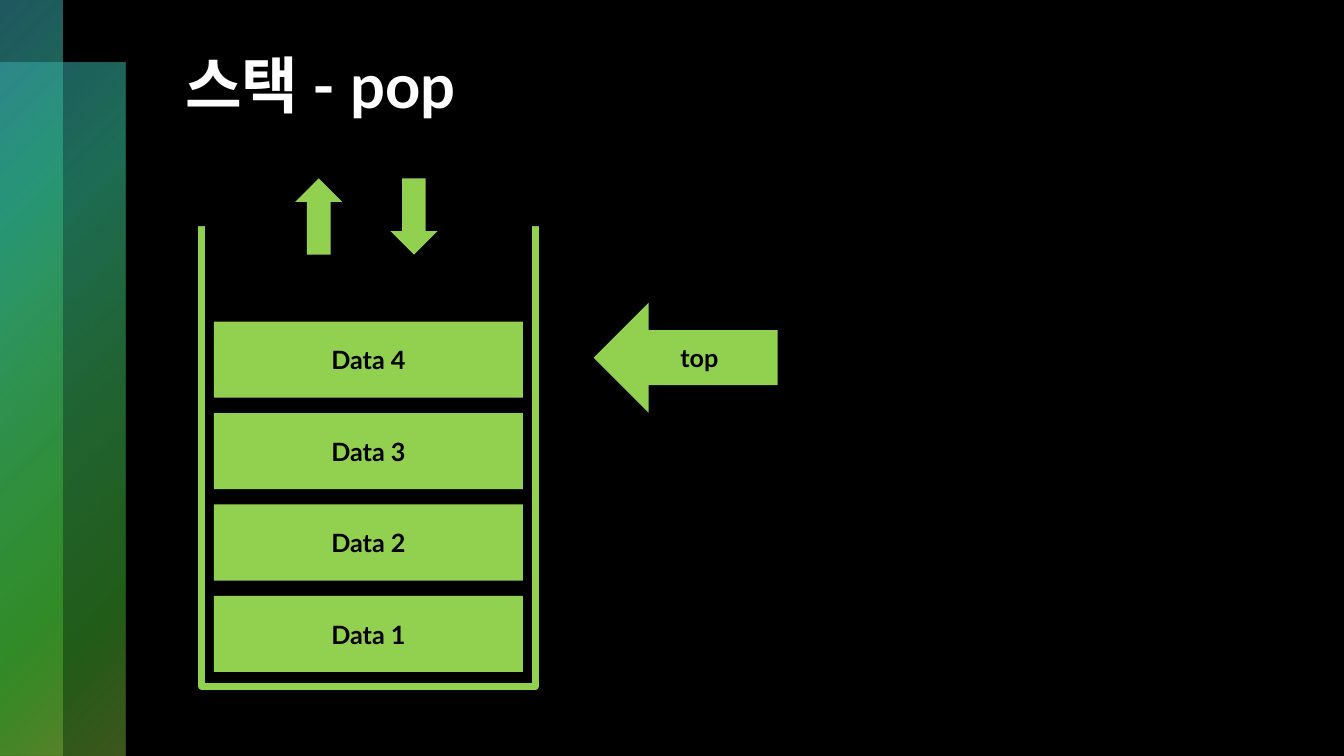
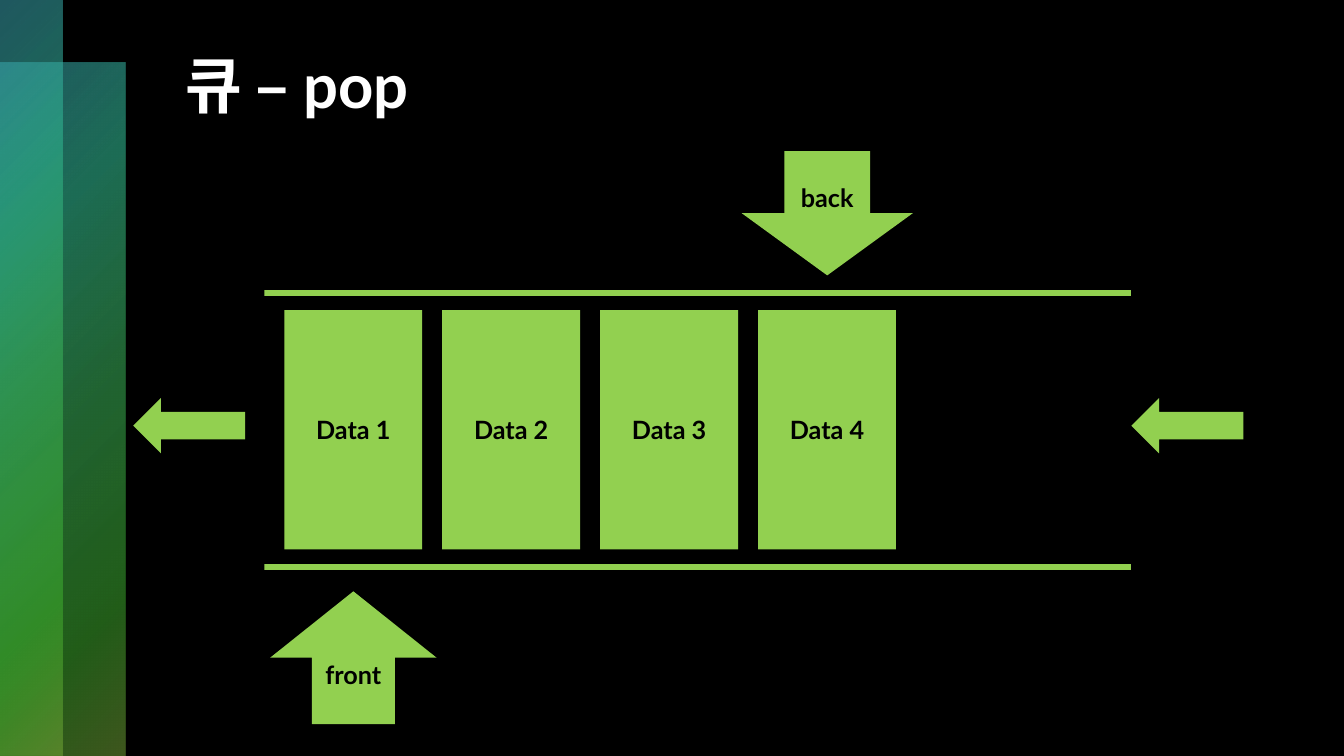
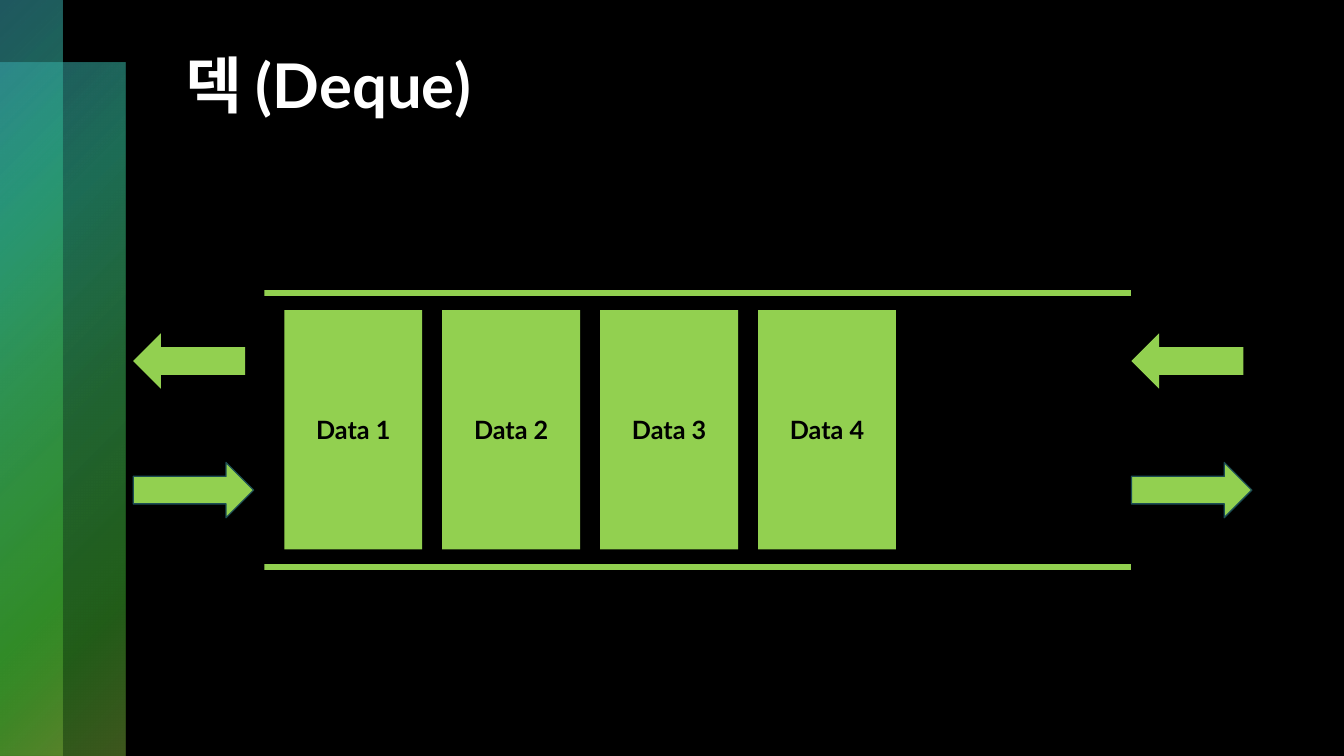
from dataclasses import dataclass

from lxml.etree import SubElement
from pptx import Presentation
from pptx.dml.color import RGBColor
from pptx.enum.shapes import MSO_SHAPE
from pptx.enum.text import MSO_ANCHOR, PP_ALIGN
from pptx.oxml.ns import qn
from pptx.presentation import Presentation as Deck
from pptx.shapes.autoshape import Shape
from pptx.slide import Slide
from pptx.text.text import TextFrame
from pptx.util import Pt

BLACK = RGBColor(0x00, 0x00, 0x00)
WHITE = RGBColor(0xFF, 0xFF, 0xFF)
GREEN = RGBColor(0x92, 0xD0, 0x50)
DARK_TEAL = RGBColor(0x1C, 0x4D, 0x54)
FONT = "Lato"

SLIDE_WIDTH, SLIDE_HEIGHT = 960, 540
BAND_WIDTH = 45
ITEMS = ("Data 1", "Data 2", "Data 3", "Data 4")
EXIT_LEFT, ENTRY_LEFT = 95.2, 808.2


@dataclass(frozen=True)
class Area:
    left: float
    top: float
    width: float
    height: float


@dataclass(frozen=True)
class GradientStop:
    position: int
    color: RGBColor
    opacity: int


@dataclass(frozen=True)
class Arrow:
    kind: MSO_SHAPE
    area: Area
    label: str = ""
    outline: RGBColor | None = None


def band_stops(middle: int) -> list[GradientStop]:
    return [
        GradientStop(0, RGBColor(0x3F, 0xAF, 0xBF), 50),
        GradientStop(25, RGBColor(0x30, 0xB5, 0x8E), 60),
        GradientStop(middle, RGBColor(0x3C, 0xB6, 0x5F), 55),
        GradientStop(81, RGBColor(0x43, 0xB9, 0x31), 50),
        GradientStop(99, RGBColor(0x7A, 0xAF, 0x3A), 50),
    ]


BANDS = (
    (Area(0, BAND_WIDTH, 2 * BAND_WIDTH, SLIDE_HEIGHT - BAND_WIDTH), band_stops(50)),
    (Area(0, 0, BAND_WIDTH, SLIDE_HEIGHT), band_stops(49)),
)
TITLE_AREA = Area(125.2, 36, 747, 122)

STACK_FRAME = Area(144, 155, 238.5, 335.4)
STACK_OPENING = Area(125, 147.5, 265, 14)
STACK_BOTTOM_ITEM = Area(152.8, 425.6, 220.8, 54.4)
STACK_STEP = 65.3

QUEUE_FRAME = Area(175, 209.4, 646.6, 195.4)
QUEUE_OPENINGS = tuple(Area(left, 196.5, 28, 225.4) for left in (160.8, 808))
QUEUE_FIRST_ITEM = Area(203.1, 221.5, 98.5, 171)
QUEUE_STEP = 112.8

STACK_ARROWS = (
    Arrow(MSO_SHAPE.LEFT_ARROW, Area(424, 216.2, 131.5, 78.6), "top"),
    Arrow(MSO_SHAPE.UP_ARROW, Area(210.8, 127.4, 33.8, 54.5)),
    Arrow(MSO_SHAPE.DOWN_ARROW, Area(278.8, 127.4, 33.8, 54.5)),
)
QUEUE_ARROWS = (
    Arrow(MSO_SHAPE.UP_ARROW, Area(193, 422.4, 118.8, 94.8), "front"),
    Arrow(MSO_SHAPE.DOWN_ARROW, Area(529.8, 107.9, 122.2, 88.8), "back"),
) + tuple(
    Arrow(MSO_SHAPE.LEFT_ARROW, Area(left, 284.4, 80, 39.4))
    for left in (EXIT_LEFT, ENTRY_LEFT)
)
DEQUE_ARROWS = tuple(
    Arrow(kind, Area(left, top, width, 39.4), outline=outline)
    for kind, top, width, outline in (
        (MSO_SHAPE.RIGHT_ARROW, 330.4, 86, DARK_TEAL),
        (MSO_SHAPE.LEFT_ARROW, 238.2, 80, None),
    )
    for left in (EXIT_LEFT, ENTRY_LEFT)
)


def points(area: Area) -> tuple[Pt, Pt, Pt, Pt]:
    return Pt(area.left), Pt(area.top), Pt(area.width), Pt(area.height)


def write(frame: TextFrame, text: str, size: float, color: RGBColor) -> None:
    span = frame.paragraphs[0].add_run()
    span.text = text
    span.font.name = FONT
    span.font.size = Pt(size)
    span.font.bold = True
    span.font.color.rgb = color


def add_figure(
    page: Slide,
    kind: MSO_SHAPE,
    area: Area,
    fill: RGBColor | None = None,
    outline: RGBColor | None = None,
    weight: float = 1,
    label: str = "",
) -> Shape:
    """Add a flat preset shape, optionally filled, outlined and labelled."""
    box = page.shapes.add_shape(kind, *points(area))
    box.shadow.inherit = False
    if fill is None:
        box.fill.background()
    else:
        box.fill.solid()
        box.fill.fore_color.rgb = fill
    if outline is None:
        box.line.fill.background()
    else:
        box.line.color.rgb = outline
        box.line.width = Pt(weight)
    if label:
        frame = box.text_frame
        frame.word_wrap = True
        frame.vertical_anchor = MSO_ANCHOR.MIDDLE
        frame.paragraphs[0].alignment = PP_ALIGN.CENTER
        write(frame, label, 18, BLACK)
    return box


def fill_radially(box: Shape, stops: list[GradientStop]) -> None:
    """Spread translucent stops outwards from the top left corner."""
    box.fill.gradient()
    gradient = box.fill._fill._gradFill
    for child in list(gradient):
        gradient.remove(child)
    stop_list = SubElement(gradient, qn("a:gsLst"))
    for stop in stops:
        entry = SubElement(stop_list, qn("a:gs"), pos=str(stop.position * 1000))
        color = SubElement(entry, qn("a:srgbClr"), val=str(stop.color))
        SubElement(color, qn("a:alpha"), val=str(stop.opacity * 1000))
    spread = SubElement(gradient, qn("a:path"), path="circle")
    SubElement(spread, qn("a:fillToRect"), r="100000", b="100000")


def add_page(deck: Deck, title: str) -> Slide:
    """Add a page with the side bands and its title."""
    page = deck.slides.add_slide(deck.slide_layouts[6])
    for area, stops in BANDS:
        fill_radially(add_figure(page, MSO_SHAPE.RECTANGLE, area), stops)
    frame = page.shapes.add_textbox(*points(TITLE_AREA)).text_frame
    frame.word_wrap = True
    frame.paragraphs[0].line_spacing = 0.9
    write(frame, title, 44, WHITE)
    return page


def add_container(page: Slide, frame: Area, openings: tuple[Area, ...]) -> None:
    """Draw an outlined frame and cover the sides where data passes."""
    add_figure(page, MSO_SHAPE.RECTANGLE, frame, outline=GREEN, weight=4.5)
    for opening in openings:
        add_figure(page, MSO_SHAPE.RECTANGLE, opening, BLACK)


def add_items(page: Slide, first: Area, step_x: float, step_y: float) -> None:
    for index, label in enumerate(ITEMS):
        area = Area(
            first.left + index * step_x,
            first.top + index * step_y,
            first.width,
            first.height,
        )
        add_figure(page, MSO_SHAPE.RECTANGLE, area, GREEN, label=label)


def add_arrows(page: Slide, arrows: tuple[Arrow, ...]) -> None:
    for arrow in arrows:
        add_figure(
            page, arrow.kind, arrow.area, GREEN, arrow.outline, label=arrow.label
        )


def add_stack_page(deck: Deck) -> None:
    page = add_page(deck, "스택 - pop")
    add_container(page, STACK_FRAME, (STACK_OPENING,))
    add_items(page, STACK_BOTTOM_ITEM, 0, -STACK_STEP)
    add_arrows(page, STACK_ARROWS)


def add_queue_page(deck: Deck, title: str, arrows: tuple[Arrow, ...]) -> None:
    page = add_page(deck, title)
    add_container(page, QUEUE_FRAME, QUEUE_OPENINGS)
    add_items(page, QUEUE_FIRST_ITEM, QUEUE_STEP, 0)
    add_arrows(page, arrows)


def main() -> None:
    deck = Presentation()
    deck.slide_width = Pt(SLIDE_WIDTH)
    deck.slide_height = Pt(SLIDE_HEIGHT)
    background = deck.slide_master.background.fill
    background.solid()
    background.fore_color.rgb = BLACK
    add_stack_page(deck)
    add_queue_page(deck, "큐 – pop", QUEUE_ARROWS)
    add_queue_page(deck, "덱 (Deque)", DEQUE_ARROWS)
    deck.save("out.pptx")


if __name__ == "__main__":
    main()
